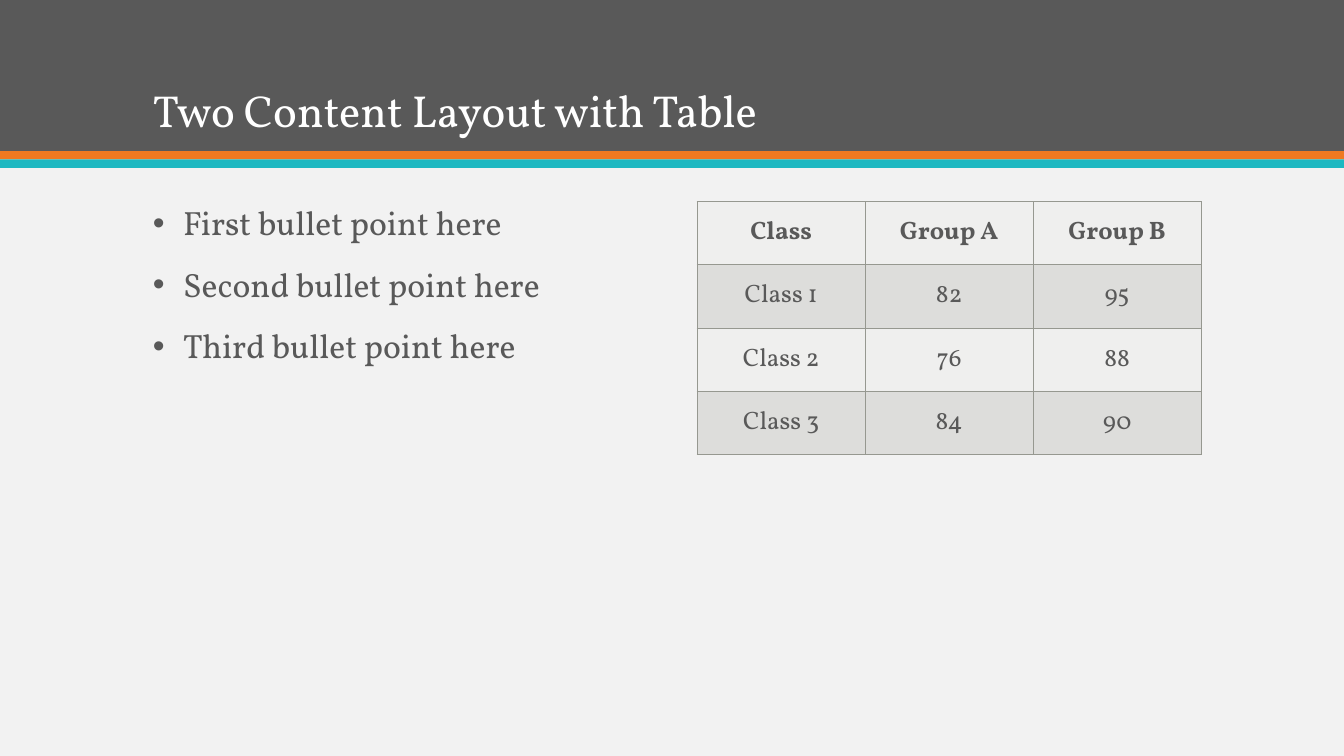
"""Build a slide with a bullet list beside a table of class scores."""
from typing import NamedTuple

from lxml.etree import SubElement
from pptx import Presentation
from pptx.dml.color import RGBColor
from pptx.enum.text import MSO_ANCHOR, MSO_AUTO_SIZE, PP_ALIGN
from pptx.enum.shapes import MSO_SHAPE
from pptx.oxml.ns import qn
from pptx.util import Cm, Pt

FONT = "Vollkorn"
GREY = "595959"
EDGE = "969890"
FILLS = ("EFEFEE", "DDDDDB")
WIDE, HIGH = 33.87, 19.05
LEFT, SPAN = 3.6, 26.67
POINTS = ("First bullet point here", "Second bullet point here", "Third bullet point here")
ROWS = (
    ("Class", "Group A", "Group B"),
    ("Class 1", "82", "95"),
    ("Class 2", "76", "88"),
    ("Class 3", "84", "90"),
)


class Box(NamedTuple):
    left: float
    top: float
    width: float
    height: float


class Band(NamedTuple):
    top: float
    height: float
    fill: str


BANDS = (Band(0, 3.81, GREY), Band(3.81, 0.21, "EF7920"), Band(4.02, 0.21, "1EB8C1"))
TITLE = Box(LEFT, 0.71, SPAN, 2.87)
BODY = Box(LEFT, 5.08, SPAN, 12.06)
GRID = Box(17.57, 5.08, 12.7, 6.38)


def paint(item, tint: str) -> None:
    item.solid()
    item.fore_color.rgb = RGBColor.from_string(tint)


def style(para, size: int, tint: str, bold: bool = False) -> None:
    for run in para.runs:
        run.font.name = FONT
        run.font.size = Pt(size)
        run.font.bold = bold
        run.font.color.rgb = RGBColor.from_string(tint)


def place(shape, box: Box, text: str, anchor: MSO_ANCHOR):
    shape.left, shape.top, shape.width, shape.height = map(Cm, box)
    frame = shape.text_frame
    frame.text = text
    frame.auto_size = MSO_AUTO_SIZE.NONE
    frame.vertical_anchor = anchor
    for para in frame.paragraphs:
        para.alignment = PP_ALIGN.LEFT
        para.line_spacing = 0.9
    return frame


def draw_band(slide, band: Band) -> None:
    bar = slide.shapes.add_shape(
        MSO_SHAPE.RECTANGLE, 0, Cm(band.top), Cm(WIDE), Cm(band.height))
    bar.shadow.inherit = False
    paint(bar.fill, band.fill)
    bar.line.fill.background()
    slide.shapes.title.element.addprevious(bar.element)


def draw_title(slide) -> None:
    frame = place(slide.shapes.title, TITLE, "Two Content Layout with Table", MSO_ANCHOR.BOTTOM)
    style(frame.paragraphs[0], 32, "FFFFFF")


def draw_list(slide) -> None:
    frame = place(slide.placeholders[1], BODY, "\n".join(POINTS), MSO_ANCHOR.TOP)
    for para in frame.paragraphs:
        para.space_before = Pt(18)
        props = para._p.get_or_add_pPr()
        props.set("marL", str(Cm(0.76)))
        props.set("indent", str(-Cm(0.76)))
        style(para, 24, GREY)


def edge_cell(cell) -> None:
    props = cell._tc.get_or_add_tcPr()
    for side in ("lnL", "lnR", "lnT", "lnB"):
        line = SubElement(props, qn(f"a:{side}"), w=str(Pt(1)))
        SubElement(SubElement(line, qn("a:solidFill")), qn("a:srgbClr"), val=EDGE)


def draw_table(slide) -> None:
    table = slide.shapes.add_table(len(ROWS), len(ROWS[0]), *map(Cm, GRID)).table
    for r, row in enumerate(ROWS):
        for c, text in enumerate(row):
            cell = table.cell(r, c)
            edge_cell(cell)
            paint(cell.fill, FILLS[r % 2])
            cell.vertical_anchor = MSO_ANCHOR.MIDDLE
            cell.text_frame.text = text
            para = cell.text_frame.paragraphs[0]
            para.alignment = PP_ALIGN.CENTER
            style(para, 18, GREY, bold=r == 0)


def main() -> None:
    deck = Presentation()
    deck.slide_width, deck.slide_height = Cm(WIDE), Cm(HIGH)
    slide = deck.slides.add_slide(deck.slide_layouts[1])
    paint(slide.background.fill, "F2F2F2")
    for band in BANDS:
        draw_band(slide, band)
    draw_title(slide)
    draw_list(slide)
    draw_table(slide)
    deck.save("out.pptx")


main()
